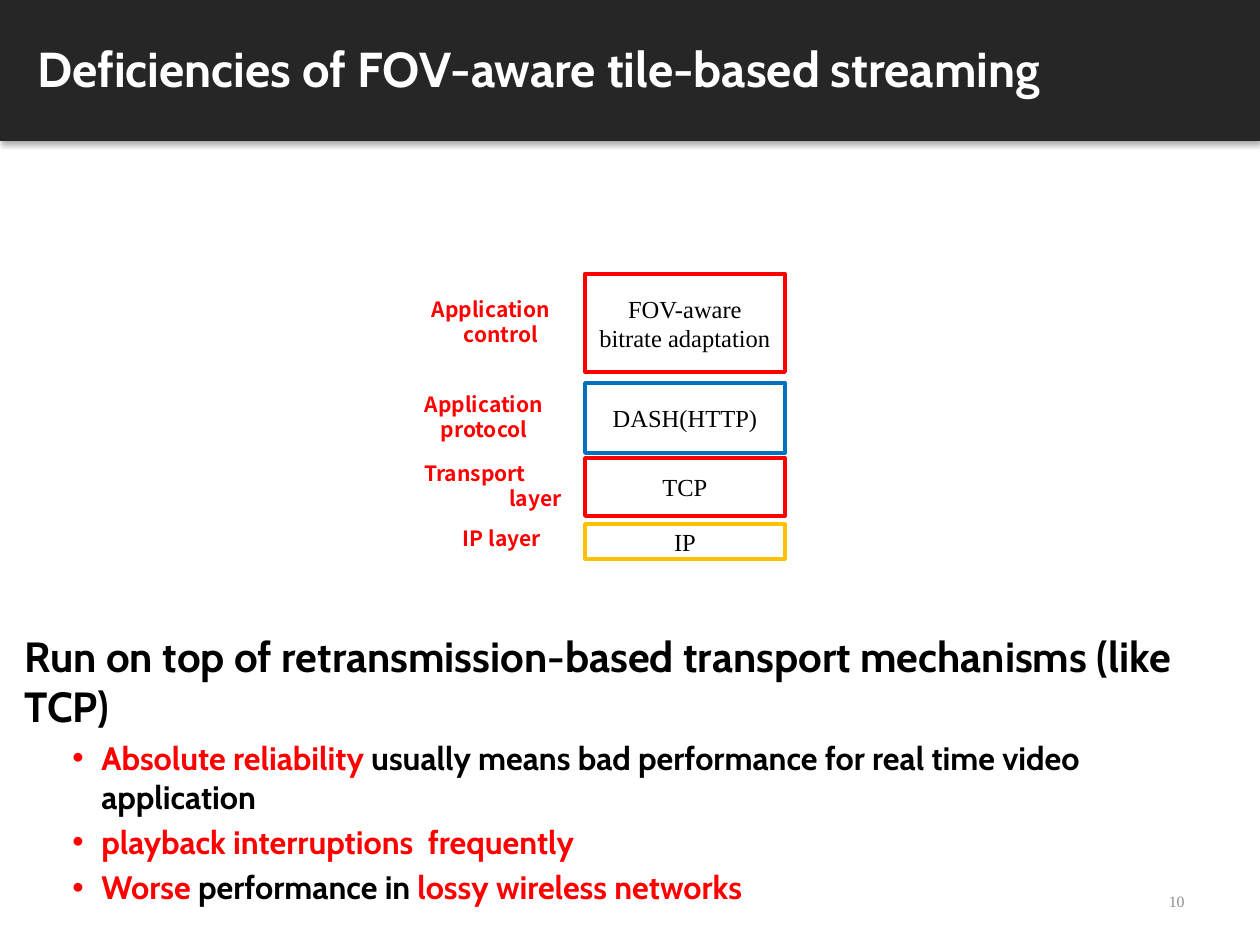
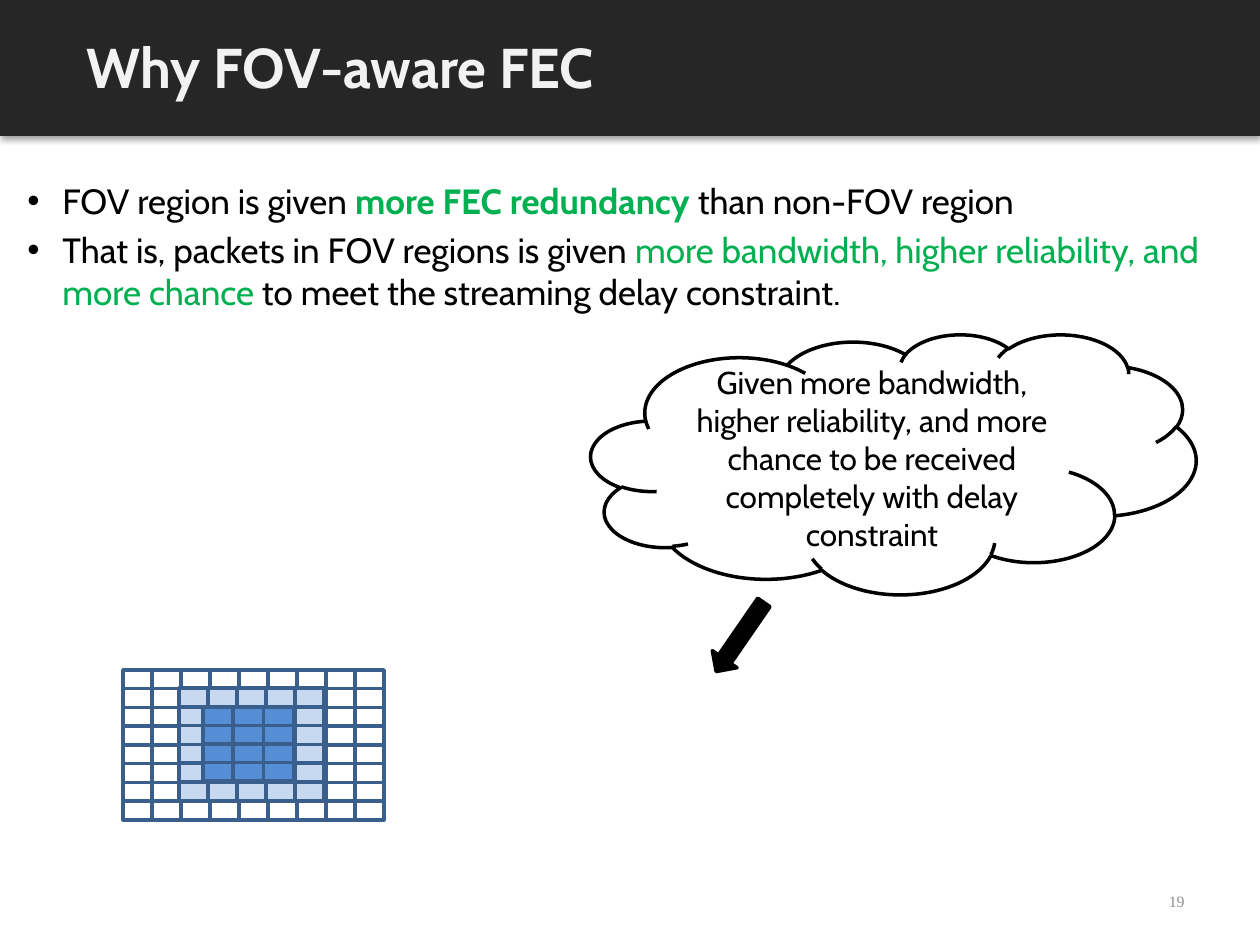
from dataclasses import dataclass

from lxml import etree
from pptx import Presentation
from pptx.dml.color import RGBColor
from pptx.enum import shapes, text
from pptx.oxml import ns
from pptx.util import Emu, Pt

EMU_PER_PX = 914400 / 126
LEFT, CENTER, RIGHT = text.PP_ALIGN.LEFT, text.PP_ALIGN.CENTER, text.PP_ALIGN.RIGHT
RECT = shapes.MSO_SHAPE.RECTANGLE


def px(length):
    return Emu(round(length * EMU_PER_PX))


@dataclass(frozen=True)
class Theme:
    # Colours
    band: str = "262626"
    white: str = "FFFFFF"
    soft_white: str = "F2F2F2"
    ink: str = "000000"
    red: str = "FF0000"
    green: str = "00B050"
    blue: str = "0070C0"
    amber: str = "FFC000"
    page: str = "8C8C8C"
    tile_line: str = "3A5F8C"
    tile_pale: str = "C6D9F1"
    tile_strong: str = "558ED5"
    # Fonts
    main: str = "Cabin"
    serif: str = "Times New Roman"
    label: str = "Noto Sans CJK SC"
    # Type sizes in points
    lead_size: float = 24.1
    point_size: float = 18.5
    body_size: float = 20
    cloud_size: float = 18
    layer_size: float = 14
    label_size: float = 12
    label_pitch: float = 14.25
    page_size: float = 9


class Deck:
    def __init__(self, theme):
        self.theme = theme
        self.file = Presentation()
        self.file.slide_width, self.file.slide_height = px(1260), px(945)
        self.slide = None

    def new_slide(self):
        self.slide = self.file.slides.add_slide(self.file.slide_layouts[6])

    def style(self, paragraph, font, size, color, bold=False, align=LEFT):
        paragraph.alignment = align
        for run in paragraph.runs:
            run.font.name, run.font.size, run.font.bold = font, Pt(size), bold
            run.font.color.rgb = RGBColor.from_string(color)

    def shape(self, kind, box, fill=None, line=None, weight=2, parent=None):
        """Add a preset shape to the slide or to a group."""
        item = (parent or self.slide).shapes.add_shape(kind, *map(px, box))
        item.shadow.inherit = False
        if fill:
            item.fill.solid()
            item.fill.fore_color.rgb = RGBColor.from_string(fill)
        else:
            item.fill.background()
        if line:
            item.line.color.rgb = RGBColor.from_string(line)
            item.line.width = Pt(weight)
        else:
            item.line.fill.background()
        return item

    def caption(self, item, words, font, size):
        """Write centred text inside a shape."""
        item.text_frame.text = words
        item.text_frame.word_wrap = True
        item.text_frame.vertical_anchor = text.MSO_ANCHOR.MIDDLE
        self.style(item.text_frame.paragraphs[0], font, size, self.theme.ink, align=CENTER)

    def textbox(self, box, words=""):
        frame = self.slide.shapes.add_textbox(*map(px, box)).text_frame
        frame.word_wrap = True
        frame.text = words
        return frame

    def title(self, words, box, size, color, band_top, band_height):
        """Add the dark band with its soft shadow, and the title on it."""
        band = self.shape(RECT, (0, band_top, 1260, band_height), self.theme.band)
        effects = band._element.spPr.find(ns.qn("a:effectLst"))
        shadow = etree.SubElement(effects, ns.qn("a:outerShdw"), blurRad=str(Pt(3.1)),
                                  dist=str(Pt(1.8)), dir="5400000", rotWithShape="0")
        tint = etree.SubElement(shadow, ns.qn("a:srgbClr"), val=self.theme.ink)
        etree.SubElement(tint, ns.qn("a:alpha"), val="35000")
        frame = self.textbox(box, words)
        self.style(frame.paragraphs[0], self.theme.main, size, color, bold=True)

    def page_number(self, number):
        frame = self.textbox((903, 876, 294, 50), str(number))
        frame.vertical_anchor = text.MSO_ANCHOR.MIDDLE
        self.style(frame.paragraphs[0], self.theme.serif, self.theme.page_size,
                   self.theme.page, align=RIGHT)

    def body(self, box, entries):
        """Entries are (size, indent, hanging, runs); runs are (words, colour, bold)."""
        frame = self.textbox(box)
        for i, (size, indent, hanging, runs) in enumerate(entries):
            paragraph = frame.add_paragraph() if i else frame.paragraphs[0]
            paragraph.space_before = Pt(round(size * 0.2, 1) if i else 0)
            for words, color, bold in runs:
                run = paragraph.add_run()
                run.text = words
                run.font.name, run.font.size, run.font.bold = self.theme.main, Pt(size), bold
                run.font.color.rgb = RGBColor.from_string(color)
            if hanging:
                props = paragraph._p.get_or_add_pPr()
                props.set("marL", str(px(indent)))
                props.set("indent", str(px(-hanging)))
                etree.SubElement(props, ns.qn("a:buFont"), typeface="Arial")
                etree.SubElement(props, ns.qn("a:buChar"), char="•")

    def layer(self, words, top, height, line, weight=2):
        item = self.shape(RECT, (585, top, 200, height), line=line, weight=weight)
        self.caption(item, words, self.theme.serif, self.theme.layer_size)

    def layer_label(self, box, lines):
        """Lines are (words, alignment, left indent)."""
        frame = self.textbox(box, "\n".join(words for words, _, _ in lines))
        for paragraph, (_, align, indent) in zip(frame.paragraphs, lines):
            self.style(paragraph, self.theme.label, self.theme.label_size,
                       self.theme.red, True, align)
            paragraph.line_spacing = Pt(self.theme.label_pitch)
            if indent:
                paragraph._p.get_or_add_pPr().set("marL", str(px(indent)))

    def tiles(self, box, columns, rows, fill, ring=None):
        """Fill a box with tiles; ring gives the (side, top) thickness of a hollow grid."""
        left, top, width, height = box
        tile_w, tile_h = width / columns, height / rows
        group = self.slide.shapes.add_group_shape()
        for row in range(rows):
            for column in range(columns):
                if ring and (ring[0] <= column < columns - ring[0]
                             and ring[1] <= row < rows - ring[1]):
                    continue
                self.shape(RECT, (left + column * tile_w, top + row * tile_h, tile_w, tile_h),
                           fill, self.theme.tile_line, parent=group)


def deficiencies(deck):
    t = deck.theme
    deck.new_slide()

    # Bulleted argument
    deck.body((12, 624, 1235, 285), [
        (t.lead_size, 0, 0, [
            ("Run on top of retransmission-based transport mechanisms (like TCP)", t.ink, True)]),
        (t.point_size, 77, 29, [
            ("Absolute reliability ", t.red, True),
            ("usually means bad performance for real time video application", t.ink, True)]),
        (t.point_size, 77, 29, [("playback interruptions  frequently", t.red, True)]),
        (t.point_size, 77, 29, [
            ("Worse", t.red, True),
            (" performance in ", t.ink, True),
            ("lossy wireless networks", t.red, True)]),
    ])
    deck.title("Deficiencies of FOV-aware tile-based streaming",
               (25, 32, 1211, 72), 28, t.white, -4, 145)

    # Protocol stack
    deck.layer("FOV-aware bitrate adaptation", 274, 98, t.red, 2.25)
    deck.layer("DASH(HTTP)", 383, 70, t.blue)
    deck.layer("TCP", 458, 58, t.red)
    deck.layer("IP", 524, 35, t.amber)

    # Layer labels
    deck.layer_label((408, 291, 166, 63), [("Application", CENTER, 0), ("control", CENTER, 20)])
    deck.layer_label((391, 386, 186, 63), [("Application protocol", CENTER, 0)])
    deck.layer_label((412, 455, 162, 63), [("Transport", LEFT, 0), ("layer", RIGHT, 0)])
    deck.layer_label((438, 520, 128, 38), [("IP layer", CENTER, 0)])
    deck.page_number(10)


def why_fec(deck):
    t = deck.theme
    deck.new_slide()

    # Bulleted argument
    deck.body((15, 173, 1230, 150), [
        (t.body_size, 35, 35, [
            ("FOV region is given ", t.ink, False),
            ("more FEC redundancy ", t.green, True),
            ("than non-FOV region", t.ink, False)]),
        (t.body_size, 35, 35, [
            ("That is, packets in FOV regions is given ", t.ink, False),
            ("more bandwidth, higher reliability, and more chance", t.green, False),
            (" to meet the streaming delay constraint.", t.ink, False)]),
    ])
    deck.title("Why FOV-aware FEC", (74, 26, 840, 81), 32, t.soft_white, 0, 136)

    # Tiled frame: outside, border and centre of the field of view
    deck.tiles((123, 670, 261, 150), 9, 8, t.white, ring=(2, 1))
    deck.tiles((179, 688, 145, 113), 5, 6, t.tile_pale, ring=(1, 1))
    deck.tiles((203, 707, 91, 74), 3, 4, t.tile_strong)

    # Thought cloud and its arrow
    arrow = deck.shape(shapes.MSO_SHAPE.RIGHT_ARROW, (698, 622, 84, 30), t.ink, t.ink)
    arrow.rotation = 124.6
    cloud = deck.shape(shapes.MSO_SHAPE.CLOUD, (591, 334, 605, 260), t.white, t.ink)
    deck.caption(cloud, "Given more bandwidth, higher reliability, and more chance "
                 "to be received completely with delay constraint", t.main, t.cloud_size)
    deck.page_number(19)


def main():
    deck = Deck(Theme())
    deficiencies(deck)
    why_fec(deck)
    deck.file.save("out.pptx")


if __name__ == "__main__":
    main()
